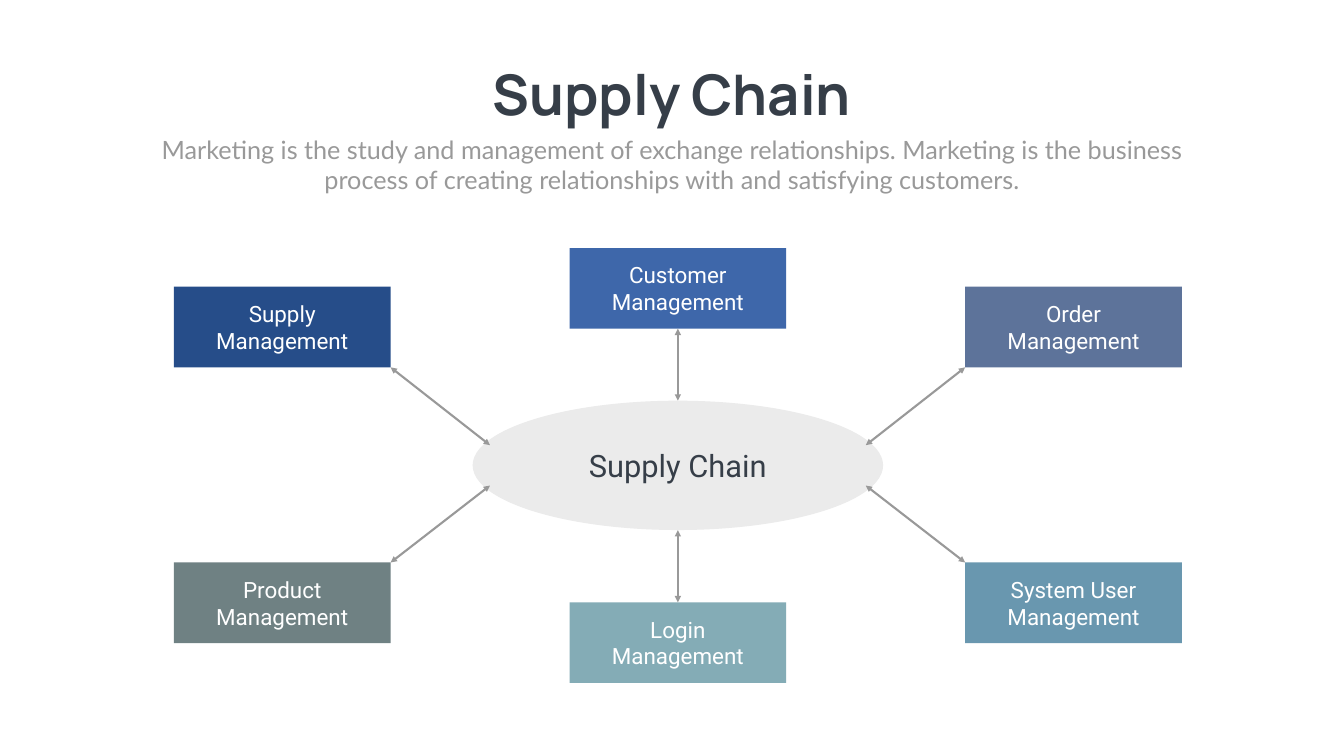
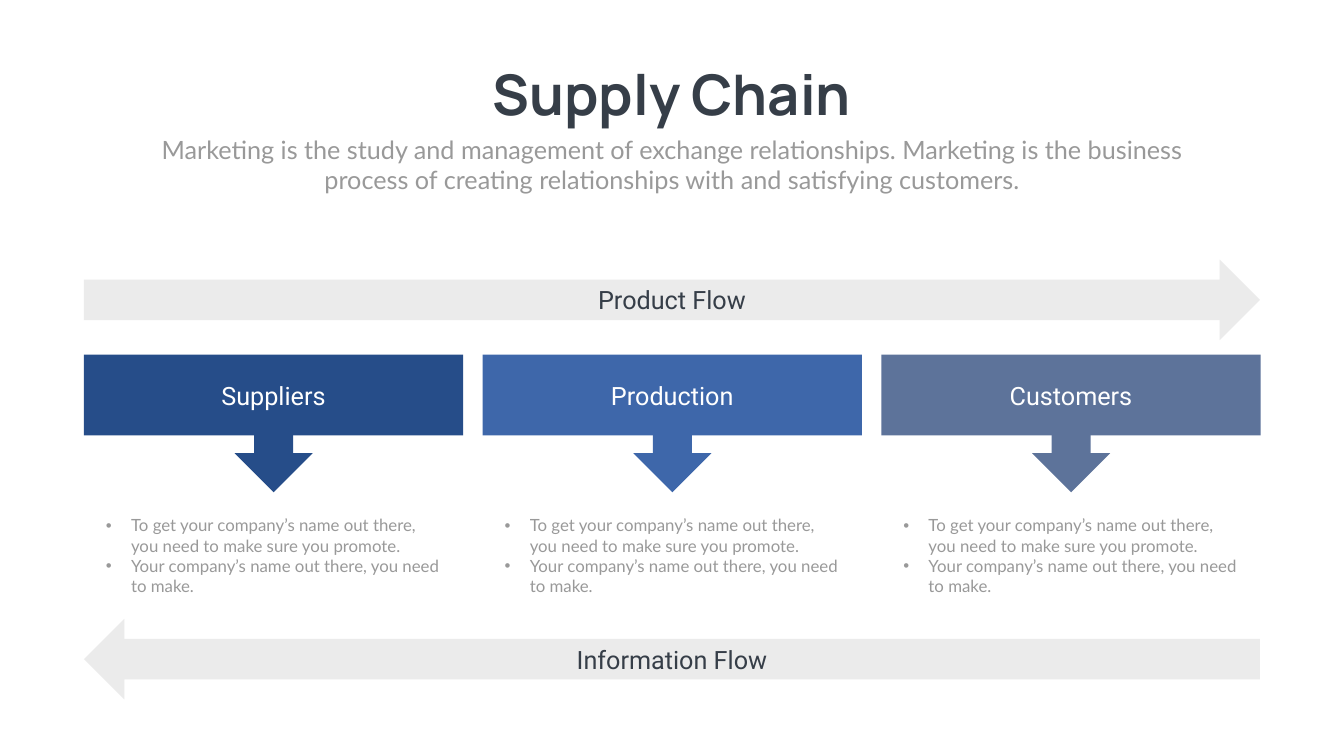
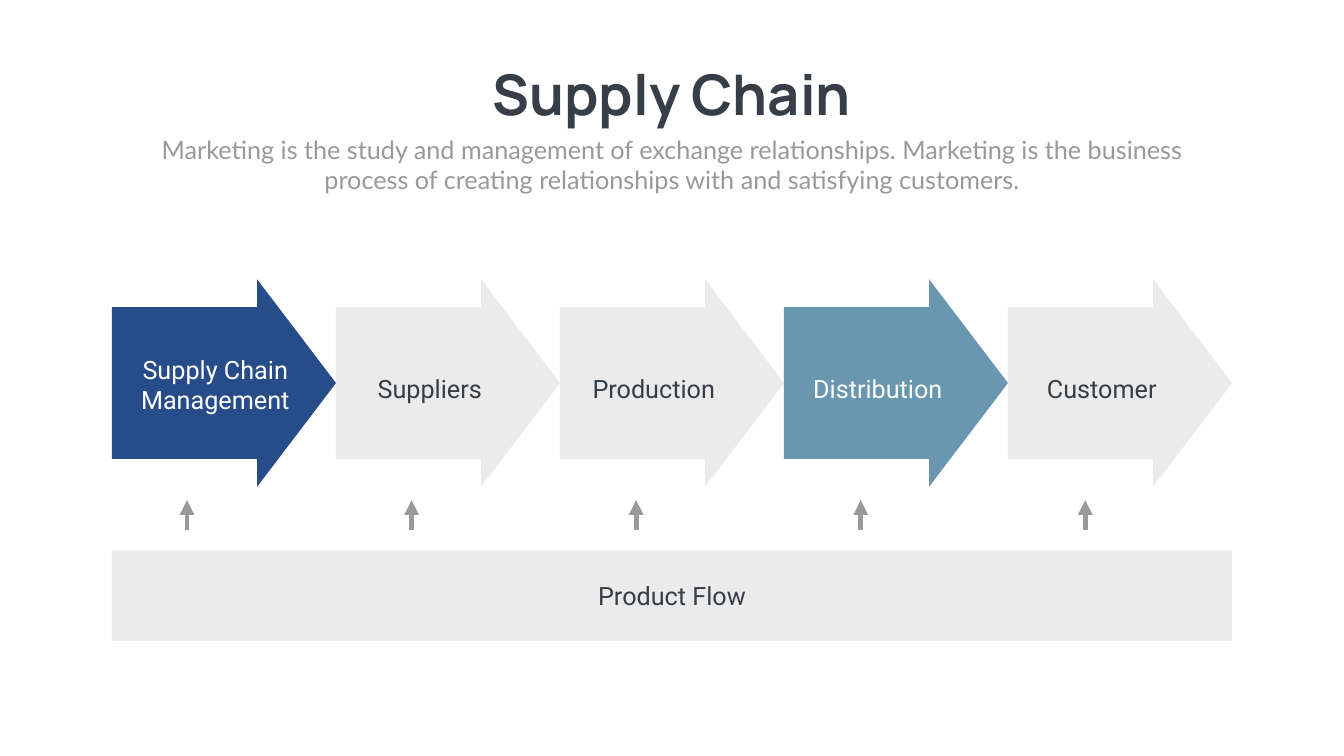
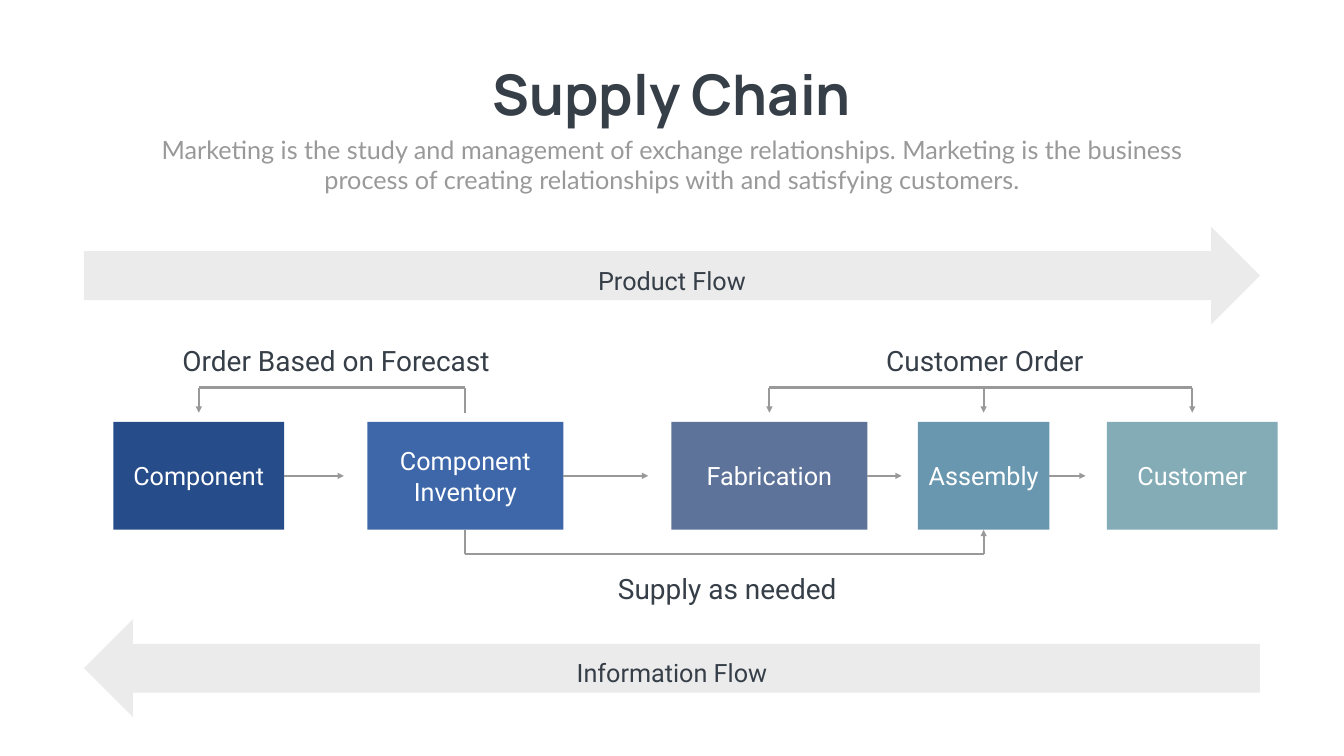
import lxml.etree
import pptx
import pptx.dml.color
import pptx.enum.shapes
import pptx.enum.text
import pptx.oxml.ns
import pptx.util

HUES = {"navy": "264D89", "blue": "3E67AA", "slate": "5D739A", "moss": "6F8183",
        "steel": "6997AF", "teal": "84ACB6", "pale": "EBEBEB", "grey": "999999",
        "dark": "363E48", "white": "FFFFFF"}
RGB = {name: pptx.dml.color.RGBColor.from_string(code) for name, code in HUES.items()}
KINDS = pptx.enum.shapes.MSO_SHAPE
ALIGN = pptx.enum.text.PP_ALIGN
ANCHOR = pptx.enum.text.MSO_ANCHOR
QN = pptx.oxml.ns.qn

deck = pptx.Presentation()
deck.slide_width = pptx.util.Inches(26.66)
deck.slide_height = pptx.util.Inches(15)
COL = deck.slide_width / 48
ROW = deck.slide_height / 27
MID = 24


def block(slide, x, y, w, h, kind=None, fill=None, words="", size=36, ink="white"):
    """Add a filled shape, or a text box if no kind is given, in grid units."""
    box = int(x * COL), int(y * ROW), int(w * COL), int(h * ROW)
    if kind is None:
        item = slide.shapes.add_textbox(*box)
    else:
        item = slide.shapes.add_shape(kind, *box)
        item.shadow.inherit = False
        item.fill.solid()
        item.fill.fore_color.rgb = RGB[fill]
        item.line.fill.background()
    if words:
        frame = item.text_frame
        frame.text = words
        frame.word_wrap = True
        frame.vertical_anchor = ANCHOR.MIDDLE if kind else ANCHOR.TOP
        frame.paragraphs[0].alignment = ALIGN.CENTER
        font = frame.paragraphs[0].runs[0].font
        font.name, font.size = "Roboto", pptx.util.Pt(size)
        font.color.rgb = RGB[ink]
    return item


def join(slide, start, end, tips=(), width=3):
    """Draw a grey line between two grid points; tips lists headEnd, tailEnd."""
    line = slide.shapes.add_connector(
        pptx.enum.shapes.MSO_CONNECTOR.STRAIGHT,
        int(start[0] * COL), int(start[1] * ROW), int(end[0] * COL), int(end[1] * ROW))
    line.line.color.rgb = RGB["grey"]
    line.line.width = pptx.util.Pt(width)
    props = line.element.spPr
    for tip in tips:
        lxml.etree.SubElement(props.find(QN("a:ln")), QN("a:" + tip), type="triangle")
    lxml.etree.SubElement(props, QN("a:effectLst"))
    return line


# Titles, subtitles and the bullet lists of the second slide
INTRO = ("Marketing is the study and management of exchange relationships. Marketing is the "
         "business process of creating relationships with and satisfying customers.")
POINTS = ("To get your company’s name out there, you need to make sure you promote.\n"
          "Your company’s name out there, you need to make.")
STEP = 14.24
plain, compare = deck.slide_layouts[1], deck.slide_layouts[4]
slides = [deck.slides.add_slide(layout) for layout in (plain, compare, plain, plain)]
hub, flow, chain, order = slides

for slide in slides:
    texts = [(0, (3, 2.02, 42, 2.61), "Supply Chain", "Manrope", 80, "dark"),
             (1, (5.25, 4.7, 37.5, 2.36), INTRO, "Lato", 36, "grey")]
    if slide is flow:
        texts += [(i + 2, (3.6 + i * STEP, 18.31, 12.35, 3.1), POINTS, "Lato", 24, "grey")
                  for i in range(3)]
    for idx, (x, y, w, h), words, face, size, ink in texts:
        item = slide.placeholders[idx]
        item.left, item.top = int(x * COL), int(y * ROW)
        item.width, item.height = int(w * COL), int(h * ROW)
        frame = item.text_frame
        frame.text = words
        frame.word_wrap = True
        frame.auto_size = pptx.enum.text.MSO_AUTO_SIZE.NONE
        frame.vertical_anchor = ANCHOR.TOP
        for para in frame.paragraphs:
            props = para._p.get_or_add_pPr()
            indent = pptx.util.Inches(0.5 if idx > 1 else 0)
            props.set("marL", str(indent))
            props.set("indent", str(-indent))
            if idx > 1:
                lxml.etree.SubElement(props, QN("a:buChar"), char="•")
            else:
                lxml.etree.SubElement(props, QN("a:buNone"))
            para.alignment = ALIGN.LEFT if idx > 1 else ALIGN.CENTER
            para.space_before = pptx.util.Pt(0)
            font = para.runs[0].font
            font.name, font.size, font.bold = face, pptx.util.Pt(size), idx == 0
            font.color.rgb = RGB[ink]

# Flow bands of the second and fourth slides
for slide, kind, words, y, h, top in (
        (flow, KINDS.RIGHT_ARROW, "Product Flow", 9.27, 2.88, 10.06),
        (flow, KINDS.LEFT_ARROW, "Information Flow", 22.1, 2.88, 22.91),
        (order, KINDS.RIGHT_ARROW, "Product Flow", 8.1, 3.49, 9.38),
        (order, KINDS.LEFT_ARROW, "Information Flow", 22.12, 3.49, 23.4)):
    block(slide, 3, y, 42, h, kind, "pale")
    block(slide, MID - 4, top, 8, 1.28, words=words, ink="dark")

# Slide 1: hub with six boxes
HUB_X, HUB_Y = 24.21, 16.62
WIDE, HIGH = 7.74, 2.88
oval = block(hub, HUB_X - 7.33, HUB_Y - 2.31, 14.66, 4.62, KINDS.OVAL, "pale",
             "Supply Chain", 44, "dark")
for words, side, y, fill in (
        ("Supply Management", -1, 10.24, "navy"), ("Customer Management", 0, 8.86, "blue"),
        ("Order Management", 1, 10.24, "slate"), ("Product Management", -1, 20.09, "moss"),
        ("Login Management", 0, 21.51, "teal"), ("System User Management", 1, 20.09, "steel")):
    x = HUB_X + side * 14.13
    box = block(hub, x - WIDE / 2, y, WIDE, HIGH, KINDS.RECTANGLE, fill, words, 32)
    box.text_frame.margin_left = box.text_frame.margin_right = int(COL)
    above = y < HUB_Y
    sign = -1 if above else 1
    edge = y + HIGH if above else y
    reach = 0.72 if side else 2.31
    line = join(hub, (x - side * WIDE / 2, edge), (HUB_X + side * 6.71, HUB_Y + sign * reach),
                ("headEnd", "tailEnd"))
    if side == 0:
        line.begin_connect(box, 2 if above else 0)
        if above:
            line.end_connect(oval, 0)

# Slide 2: three stages
for i, (words, fill) in enumerate((("Suppliers", "navy"), ("Production", "blue"),
                                   ("Customers", "slate"))):
    x = 3 + i * STEP
    block(flow, x + 5.38, 13.57, 2.79, 4.01, KINDS.DOWN_ARROW, fill)
    block(flow, x, 12.67, 13.54, 2.88, KINDS.RECTANGLE, fill, words)

# Slide 3: chain of arrows
block(chain, 4, 19.66, 40, 3.22, KINDS.RECTANGLE, "pale", "Product Flow", ink="dark")
for i, (words, fill, ink, left, top) in enumerate((
        ("Supply Chain Management", "navy", "white", 4.72, 12.55),
        ("Suppliers", "pale", "dark", 4.38, 13.23),
        ("Production", "pale", "dark", 4.38, 13.23),
        ("Distribution", "steel", "white", 4.38, 13.23),
        ("Customer", "pale", "dark", 4.38, 13.23))):
    arrow = block(chain, 4 + 8 * i, 9.97, 8, 7.42, KINDS.RIGHT_ARROW, fill)
    arrow.adjustments[0], arrow.adjustments[1] = 0.73, 0.38
    block(chain, left + 8 * i, top, 5.94, 1.28, words=words, ink=ink)
    x = 6.68 + 8.02 * i
    join(chain, (x, 18.94), (x, 17.86), ("tailEnd",), 7)

# Slide 4: order and supply loops
TOP, TALL = 15.07, 3.85
BASE = TOP + TALL
boxes, mids = [], []
for words, x, w, fill, tip in (
        ("Component", 4.05, 6.1, "navy", 12.28),
        ("Component Inventory", 13.12, 7, "blue", 23.15),
        ("Fabrication", 23.98, 7, "slate", 32.2),
        ("Assembly", 32.78, 4.7, "steel", 38.77),
        ("Customer", 39.53, 6.1, "teal", None)):
    box = block(order, x, TOP, w, TALL, KINDS.RECTANGLE, fill, words)
    boxes.append(box)
    mids.append(x + w / 2)
    if tip:
        y = TOP + TALL / 2
        join(order, (x + w, y), (tip, y), ("tailEnd",)).begin_connect(box, 3)

RAIL, DROP, LOOP = 13.84, 14.74, 19.8
for i, x in enumerate(mids):
    join(order, (x, RAIL), (x, DROP), () if i == 1 else ("tailEnd",))
for first, last, y in ((0, 1, RAIL), (2, 4, RAIL), (1, 3, LOOP)):
    join(order, (mids[first], y), (mids[last], y))
join(order, (mids[1], BASE), (mids[1], LOOP)).begin_connect(boxes[1], 2)
join(order, (mids[3], LOOP), (mids[3], BASE), ("tailEnd",)).end_connect(boxes[3], 2)
for words, x, y in (("Order Based on Forecast", 12, 12.19), ("Customer Order", 35.17, 12.19),
                    ("Supply as needed", 25.97, 20.34)):
    block(order, x - 6, y, 12, 1, words=words, size=40, ink="dark")

deck.save("out.pptx")
